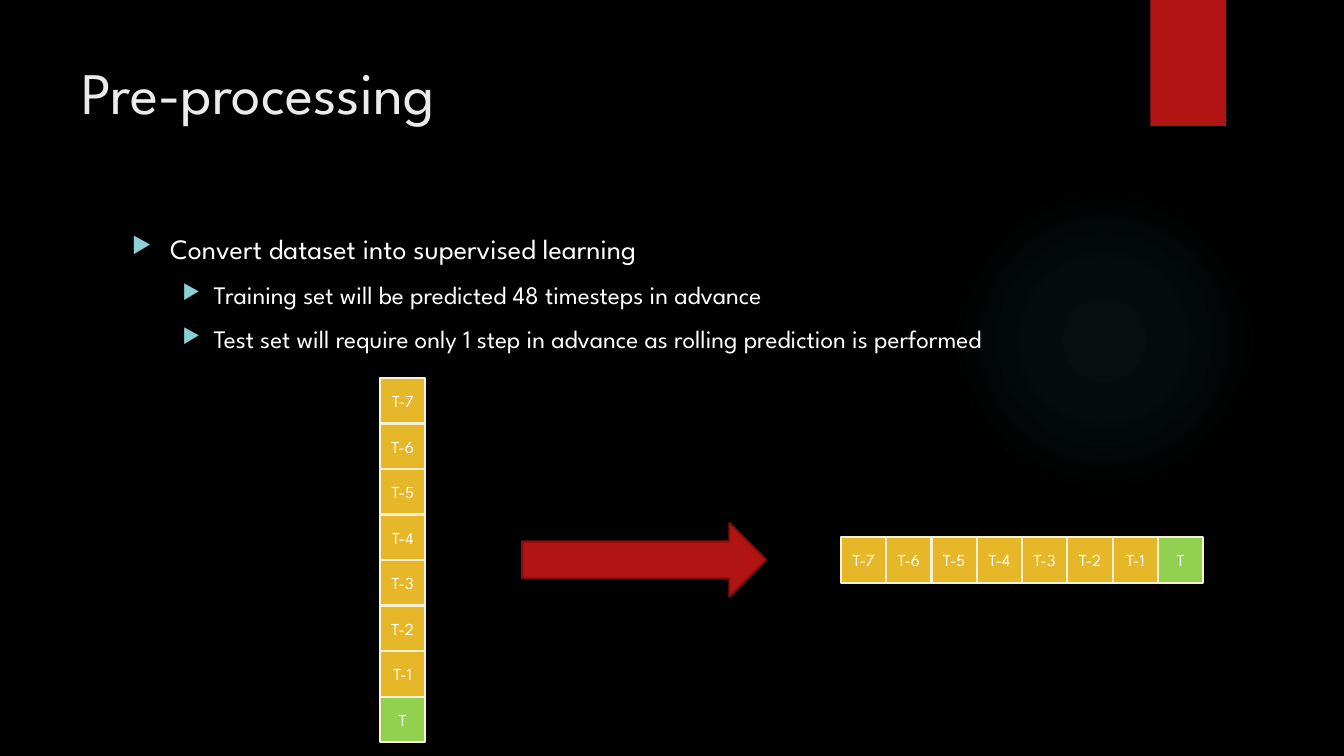
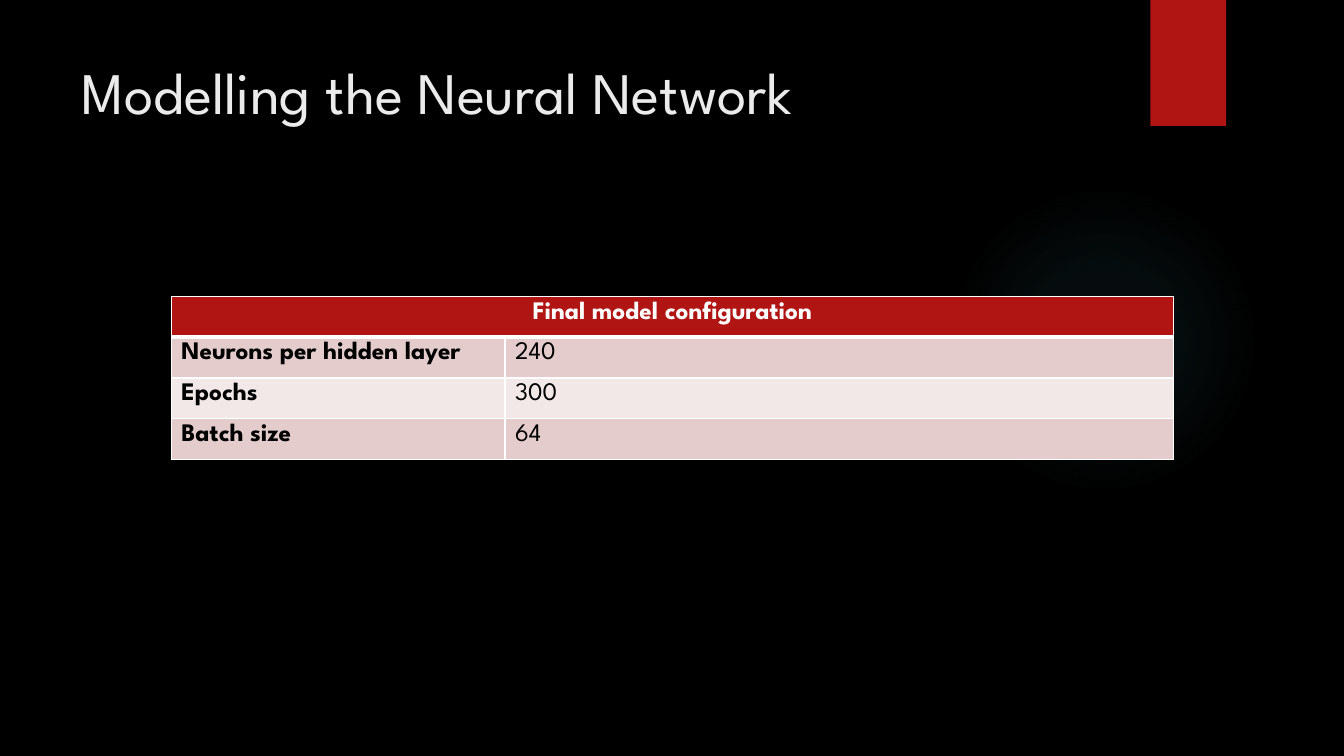
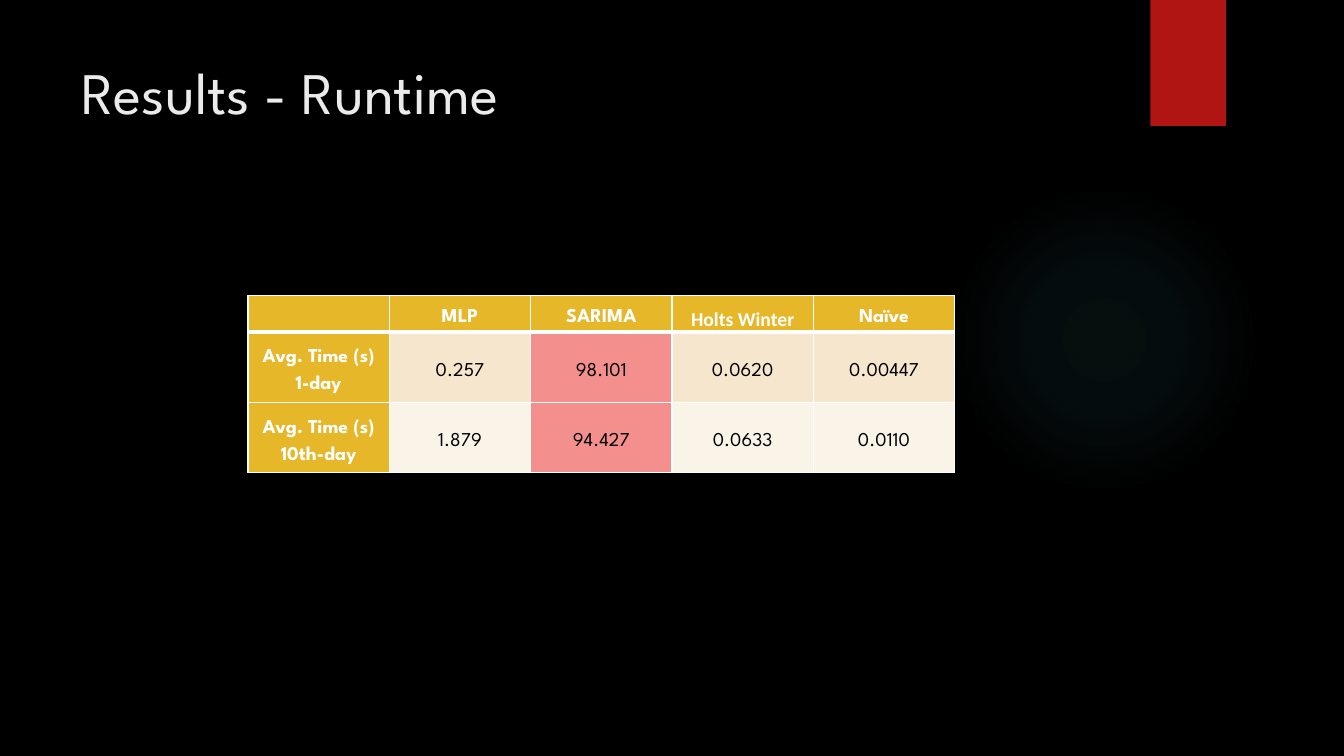
from dataclasses import dataclass, field

from lxml import etree
from pptx import Presentation
from pptx import util as u
from pptx.dml.color import RGBColor
from pptx.enum import shapes, text
from pptx.oxml import parse_xml
from pptx.oxml.ns import nsdecls, qn

BLACK = RGBColor(0x00, 0x00, 0x00)
WHITE = RGBColor(0xFF, 0xFF, 0xFF)
TITLE_GREY = RGBColor(0xEB, 0xEB, 0xEB)
RED = RGBColor(0xB0, 0x15, 0x13)
DARK_RED = RGBColor(0x82, 0x10, 0x0E)
ROSE = RGBColor(0xE4, 0xCC, 0xCC)
PALE_ROSE = RGBColor(0xF2, 0xE8, 0xE7)
GOLD = RGBColor(0xE6, 0xB7, 0x29)
SAND = RGBColor(0xF5, 0xE6, 0xCD)
PALE_SAND = RGBColor(0xFA, 0xF3, 0xE8)
CREAM = RGBColor(0xFA, 0xF1, 0xD4)
CORAL = RGBColor(0xF3, 0x8F, 0x8D)
GREEN = RGBColor(0x92, 0xD0, 0x50)
AQUA = RGBColor(0x8A, 0xD0, 0xD6)
TEAL = RGBColor(0x50, 0xB9, 0xC1)

FONT = "League Spartan"
SLIDE_WIDTH, SLIDE_HEIGHT = u.Inches(13.33), u.Inches(7.5)
GLOW_STOPS = ((0, 7), (36, 6), (69, 0))  # position and opacity, percent
CENTER = text.PP_ALIGN.CENTER
MIDDLE = text.MSO_ANCHOR.MIDDLE


def across(share: float) -> int:
    """Turn a percentage of the slide width into a length."""
    return round(SLIDE_WIDTH * share / 100)


def down(share: float) -> int:
    """Turn a percentage of the slide height into a length."""
    return round(SLIDE_HEIGHT * share / 100)


@dataclass(frozen=True)
class Area:
    """A rectangle in percentages of the slide's width and height."""
    left: float
    top: float
    width: float
    height: float

    def lengths(self) -> tuple:
        """Return left, top, width and height as lengths."""
        return (across(self.left), down(self.top),
                across(self.width), down(self.height))


@dataclass(frozen=True)
class Bullet:
    """A bulleted line with its level and type size."""
    words: str
    level: int
    size: int


@dataclass(frozen=True)
class Entry:
    """The content and look of one table cell."""
    words: str
    fill: RGBColor
    color: RGBColor = BLACK
    bold: bool = False
    font: str = FONT


@dataclass(frozen=True)
class Grid:
    """A table: position, column and row shares, entries and text format."""
    left: float
    top: float
    columns: list
    rows: list
    entries: list
    size: int
    tight: bool = False
    style: dict = field(default_factory=dict)


GLOW = Area(70.59, 24.4, 23.11, 41.07)
BAND = Area(85.6, 0, 5.63, 16.67)
TITLE = Area(5.33, 6.67, 77.19, 20.4)
BODY = Area(9.08, 30, 73.37, 22.13)
ARROW = Area(38.86, 69.2, 18.15, 9.73)
STEP_WIDTH, STEP_HEIGHT = 3.37, 6.02
STACK_LEFT, STACK_TOP = 28.28, 50
STRIP_LEFT, STRIP_TOP = 62.57, 71.07

TIMESTEPS = [f"T-{lag}" for lag in range(7, 0, -1)] + ["T"]
BULLETS = [
    Bullet("Convert dataset into supervised learning", 0, 20),
    Bullet("Training set will be predicted 48 timesteps in advance", 1, 18),
    Bullet("Test set will require only 1 step in advance as rolling "
           "prediction is performed", 1, 18),
]
BULLET_INDENTS = ((0.38, 0.38), (0.81, 0.31))  # margin and hang, inches


def write(paragraph, words: str, *, size: float, color: RGBColor,
          font: str = FONT, bold: bool = False, align=None,
          before: float = 0, spacing: float = 1.0) -> None:
    """Put formatted text into a paragraph."""
    paragraph.alignment = align
    paragraph.line_spacing = spacing
    paragraph.space_before = u.Pt(before)
    run = paragraph.add_run()
    run.text = words
    run.font.size, run.font.name, run.font.bold = u.Pt(size), font, bold
    run.font.color.rgb = color


def add_frame(slide, area: Area):
    """Add a wrapping text box and return its text frame."""
    frame = slide.shapes.add_textbox(*area.lengths()).text_frame
    frame.word_wrap = True
    return frame


def add_block(slide, kind, area: Area, fill: RGBColor, line=None):
    """Add a flat preset shape, outlined when a line colour is given."""
    block = slide.shapes.add_shape(kind, *area.lengths())
    block.shadow.inherit = False
    block.fill.solid()
    block.fill.fore_color.rgb = fill
    if line is None:
        block.line.fill.background()
    else:
        block.line.color.rgb = line
        block.line.width = u.Pt(1.5)
    return block


def add_glow(slide) -> None:
    """Add the faint radial glow at the right."""
    glow = add_block(slide, shapes.MSO_SHAPE.OVAL, GLOW, TEAL)
    stops = "".join(
        f'<a:gs pos="{at * 1000}"><a:srgbClr val="{TEAL}">'
        f'<a:alpha val="{opacity * 1000}"/></a:srgbClr></a:gs>'
        for at, opacity in GLOW_STOPS)
    gradient = parse_xml(
        f'<a:gradFill {nsdecls("a")} rotWithShape="1"><a:gsLst>{stops}</a:gsLst>'
        '<a:path path="circle"><a:fillToRect l="50000" t="50000" r="50000" '
        'b="50000"/></a:path></a:gradFill>')
    properties = glow.element.spPr
    properties.replace(properties.find(qn("a:solidFill")), gradient)


def add_slide(deck, heading: str):
    """Add a slide with the shared background, glow, band and title."""
    slide = deck.slides.add_slide(deck.slide_layouts[6])
    slide.background.fill.solid()
    slide.background.fill.fore_color.rgb = BLACK
    add_glow(slide)
    add_block(slide, shapes.MSO_SHAPE.RECTANGLE, BAND, RED)
    write(add_frame(slide, TITLE).paragraphs[0], heading,
          size=42, color=TITLE_GREY)
    return slide


def add_bullets(slide, bullets: list) -> None:
    """Add the bulleted body text."""
    frame = add_frame(slide, BODY)
    for index, bullet in enumerate(bullets):
        paragraph = frame.add_paragraph() if index else frame.paragraphs[0]
        write(paragraph, bullet.words, size=bullet.size, color=WHITE, before=10)
        paragraph.level = bullet.level
        margin, hang = BULLET_INDENTS[bullet.level]
        properties = paragraph._p.get_or_add_pPr()
        properties.set("marL", str(u.Inches(margin)))
        properties.set("indent", str(-u.Inches(hang)))
        color = etree.SubElement(properties, qn("a:buClr"))
        etree.SubElement(color, qn("a:srgbClr"), val=str(AQUA))
        etree.SubElement(properties, qn("a:buSzPct"), val="80000")
        etree.SubElement(properties, qn("a:buChar"), char="\u25b6")


def add_timesteps(slide, left: float, top: float, right_step: float,
                  down_step: float) -> None:
    """Add the series of timestep squares, ending in the target."""
    for index, label in enumerate(TIMESTEPS):
        area = Area(left + index * right_step, top + index * down_step,
                    STEP_WIDTH, STEP_HEIGHT)
        square = add_block(slide, shapes.MSO_SHAPE.RECTANGLE, area,
                           GREEN if label == "T" else GOLD, CREAM)
        frame = square.text_frame
        frame.margin_left = frame.margin_right = 0
        frame.vertical_anchor = MIDDLE
        write(frame.paragraphs[0], label, size=12, color=WHITE, align=CENTER)


def add_borders(cell, row: int) -> None:
    """Outline a cell in white, with a heavy rule below the header row."""
    properties = cell._tc.get_or_add_tcPr()
    widths = {"L": 1, "R": 1, "T": 3 if row == 1 else 1,
              "B": 3 if row == 0 else 1}
    for side, width in widths.items():
        edge = etree.SubElement(properties, qn(f"a:ln{side}"),
                                w=str(u.Pt(width)))
        fill = etree.SubElement(edge, qn("a:solidFill"))
        etree.SubElement(fill, qn("a:srgbClr"), val=str(WHITE))


def add_grid(slide, grid: Grid):
    """Add a table and return it."""
    area = Area(grid.left, grid.top, sum(grid.columns), sum(grid.rows))
    table = slide.shapes.add_table(len(grid.rows), len(grid.columns),
                                   *area.lengths()).table
    table.first_row = table.horz_banding = False
    for column, share in zip(table.columns, grid.columns):
        column.width = across(share)
    for row, share in zip(table.rows, grid.rows):
        row.height = down(share)
    for row, entries in enumerate(grid.entries):
        for column, entry in enumerate(entries):
            cell = table.cell(row, column)
            add_borders(cell, row)
            cell.fill.solid()
            cell.fill.fore_color.rgb = entry.fill
            if grid.tight:
                cell.margin_left = cell.margin_right = u.Inches(0.07)
                cell.margin_top = cell.margin_bottom = 0
                cell.vertical_anchor = MIDDLE
            if entry.words:
                write(cell.text_frame.paragraphs[0], entry.words,
                      size=grid.size, color=entry.color, font=entry.font,
                      bold=entry.bold, **grid.style)
    return table


def build_preprocessing(deck) -> None:
    """Build the slide on turning a series into supervised samples."""
    slide = add_slide(deck, "Pre-processing")
    add_bullets(slide, BULLETS)
    add_timesteps(slide, STACK_LEFT, STACK_TOP, 0, STEP_HEIGHT)
    add_block(slide, shapes.MSO_SHAPE.RIGHT_ARROW, ARROW, RED, DARK_RED)
    add_timesteps(slide, STRIP_LEFT, STRIP_TOP, STEP_WIDTH, 0)


def build_model(deck) -> None:
    """Build the slide with the final network settings."""
    slide = add_slide(deck, "Modelling the Neural Network")
    settings = [("Neurons per hidden layer", "240", ROSE),
                ("Epochs", "300", PALE_ROSE), ("Batch size", "64", ROSE)]
    header = [Entry("Final model configuration", RED, WHITE, True),
              Entry("", RED)]
    entries = [header] + [[Entry(name, fill, bold=True), Entry(value, fill)]
                          for name, value, fill in settings]
    table = add_grid(slide, Grid(12.75, 39.2, [24.83, 49.74], [5.4] * 4,
                                 entries, 18))
    table.cell(0, 0).merge(table.cell(0, 1))
    table.cell(0, 0).text_frame.paragraphs[0].alignment = CENTER


def build_runtime(deck) -> None:
    """Build the slide comparing the methods' running times."""
    slide = add_slide(deck, "Results - Runtime")
    methods = ["", "MLP", "SARIMA", "Holts Winter", "Naïve"]
    runtimes = [
        ("Avg. Time (s) 1-day", ["0.257", "98.101", "0.0620", "0.00447"], SAND),
        ("Avg. Time (s) 10th-day", ["1.879", "94.427", "0.0633", "0.0110"],
         PALE_SAND),
    ]
    entries = [[Entry(method, GOLD, WHITE, True,
                      "Calibri" if method == "Holts Winter" else FONT)
                for method in methods]]
    for horizon, times, fill in runtimes:
        entries.append([Entry(horizon, GOLD, WHITE, True)] + [
            Entry(time, CORAL if method == "SARIMA" else fill)
            for method, time in zip(methods[1:], times)])
    add_grid(slide, Grid(18.45, 39.07, [10.52] * 5, [4.8, 7.2, 7.2], entries,
                         14, True, {"align": CENTER, "spacing": 1.5}))


def main() -> None:
    """Build and save the deck."""
    deck = Presentation()
    deck.slide_width, deck.slide_height = SLIDE_WIDTH, SLIDE_HEIGHT
    build_preprocessing(deck)
    build_model(deck)
    build_runtime(deck)
    deck.save("out.pptx")


main()
